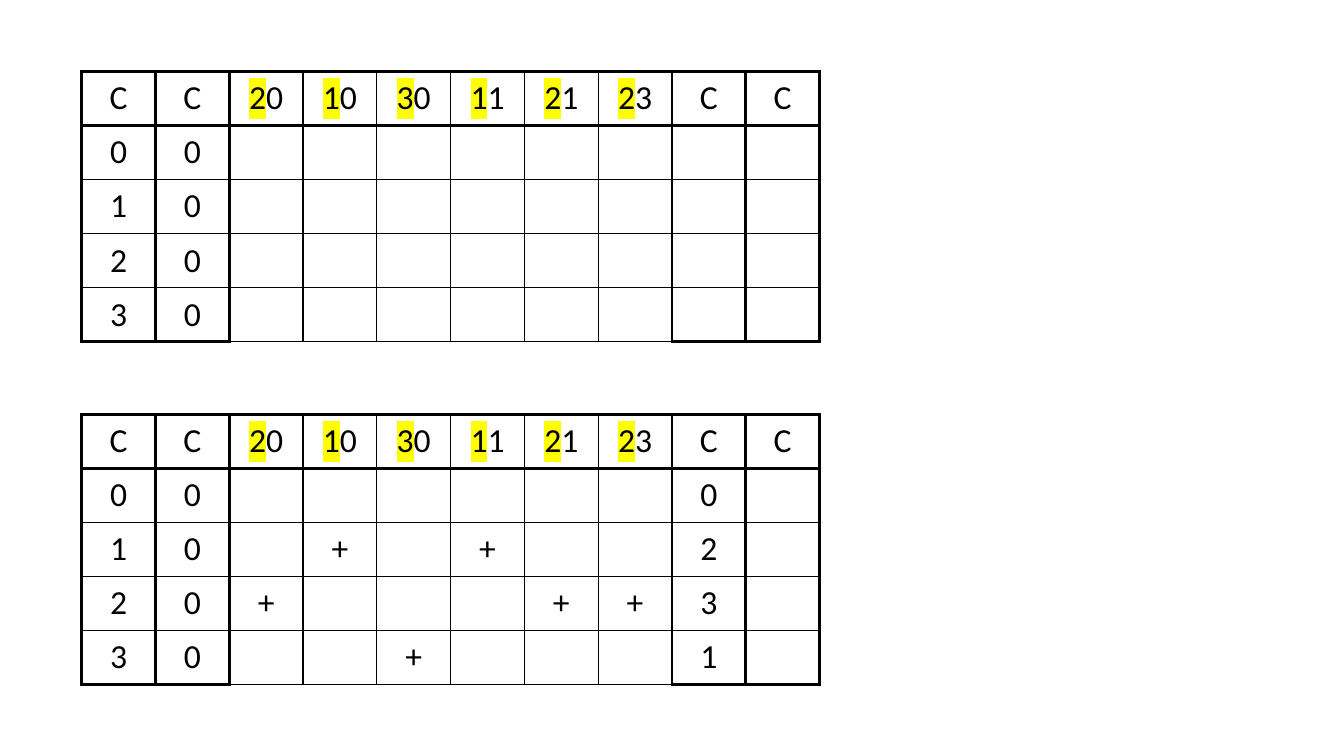
"""Build a slide with a blank and a completed counting-sort table."""
from dataclasses import dataclass

from lxml.etree import SubElement
from pptx import Presentation
from pptx.dml.color import RGBColor
from pptx.enum.text import MSO_ANCHOR, PP_ALIGN
from pptx.oxml.ns import qn
from pptx.util import Inches, Pt

HEADINGS = ["C", "C", "20", "10", "30", "11", "21", "23", "C", "C"]
BLANK_ROWS = [
    ["0", "0", "", "", "", "", "", "", "", ""],
    ["1", "0", "", "", "", "", "", "", "", ""],
    ["2", "0", "", "", "", "", "", "", "", ""],
    ["3", "0", "", "", "", "", "", "", "", ""],
]
COUNTED_ROWS = [
    ["0", "0", "", "", "", "", "", "", "0", ""],
    ["1", "0", "", "+", "", "+", "", "", "2", ""],
    ["2", "0", "+", "", "", "", "+", "+", "3", ""],
    ["3", "0", "", "", "+", "", "", "", "1", ""],
]
TABLES = [(0.71, BLANK_ROWS), (4.11, COUNTED_ROWS)]
COUNTER_COLUMNS = {0, 1, 8, 9}

SLIDE_WIDTH, SLIDE_HEIGHT = 13.33, 7.5
TABLE_LEFT, TABLE_WIDTH, TABLE_HEIGHT = 0.81, 7.32, 2.68
MARGIN_X, MARGIN_Y = 0.13, 0.06


@dataclass(frozen=True)
class Theme:
    font: str = "Calibri"
    size: float = 24
    ink: str = "000000"
    highlight: str = "FFFF00"
    thin: float = 1
    thick: float = 2.25


THEME = Theme()


def add_color(parent, color):
    SubElement(parent, qn("a:srgbClr")).set("val", color)


def set_borders(cell, row, column, last_row):
    beside = COUNTER_COLUMNS.intersection
    thick_sides = {
        "L": beside({column - 1, column}),
        "R": beside({column, column + 1}),
        "T": row <= 1,
        "B": row == 0 or (row == last_row and column in COUNTER_COLUMNS),
    }
    properties = cell._tc.get_or_add_tcPr()
    for side, is_thick in thick_sides.items():
        line = SubElement(properties, qn(f"a:ln{side}"))
        line.set("w", str(Pt(THEME.thick if is_thick else THEME.thin)))
        add_color(SubElement(line, qn("a:solidFill")), THEME.ink)


def write_cell(cell, text):
    cell.margin_left = cell.margin_right = Inches(MARGIN_X)
    cell.margin_top = cell.margin_bottom = Inches(MARGIN_Y)
    cell.vertical_anchor = MSO_ANCHOR.MIDDLE
    paragraph = cell.text_frame.paragraphs[0]
    paragraph.alignment = PP_ALIGN.CENTER
    for position, character in enumerate(text):
        run = paragraph.add_run()
        run.text = character
        run.font.size = Pt(THEME.size)
        run.font.bold = False
        run.font.color.rgb = RGBColor.from_string(THEME.ink)
        if len(text) == 2 and position == 0:
            highlight = SubElement(run.font._element, qn("a:highlight"))
            add_color(highlight, THEME.highlight)
        run.font.name = THEME.font


def add_counting_table(slide, top, rows):
    grid = [HEADINGS, *rows]
    table = slide.shapes.add_table(
        len(grid), len(HEADINGS), Inches(TABLE_LEFT), Inches(top),
        Inches(TABLE_WIDTH), Inches(TABLE_HEIGHT)).table
    table.first_row = table.horz_banding = False
    for row, texts in enumerate(grid):
        for column, text in enumerate(texts):
            cell = table.cell(row, column)
            set_borders(cell, row, column, len(rows))
            cell.fill.background()
            write_cell(cell, text)


def main():
    presentation = Presentation()
    presentation.slide_width = Inches(SLIDE_WIDTH)
    presentation.slide_height = Inches(SLIDE_HEIGHT)
    slide = presentation.slides.add_slide(presentation.slide_layouts[6])
    for top, rows in TABLES:
        add_counting_table(slide, top, rows)
    presentation.save("out.pptx")


if __name__ == "__main__":
    main()
